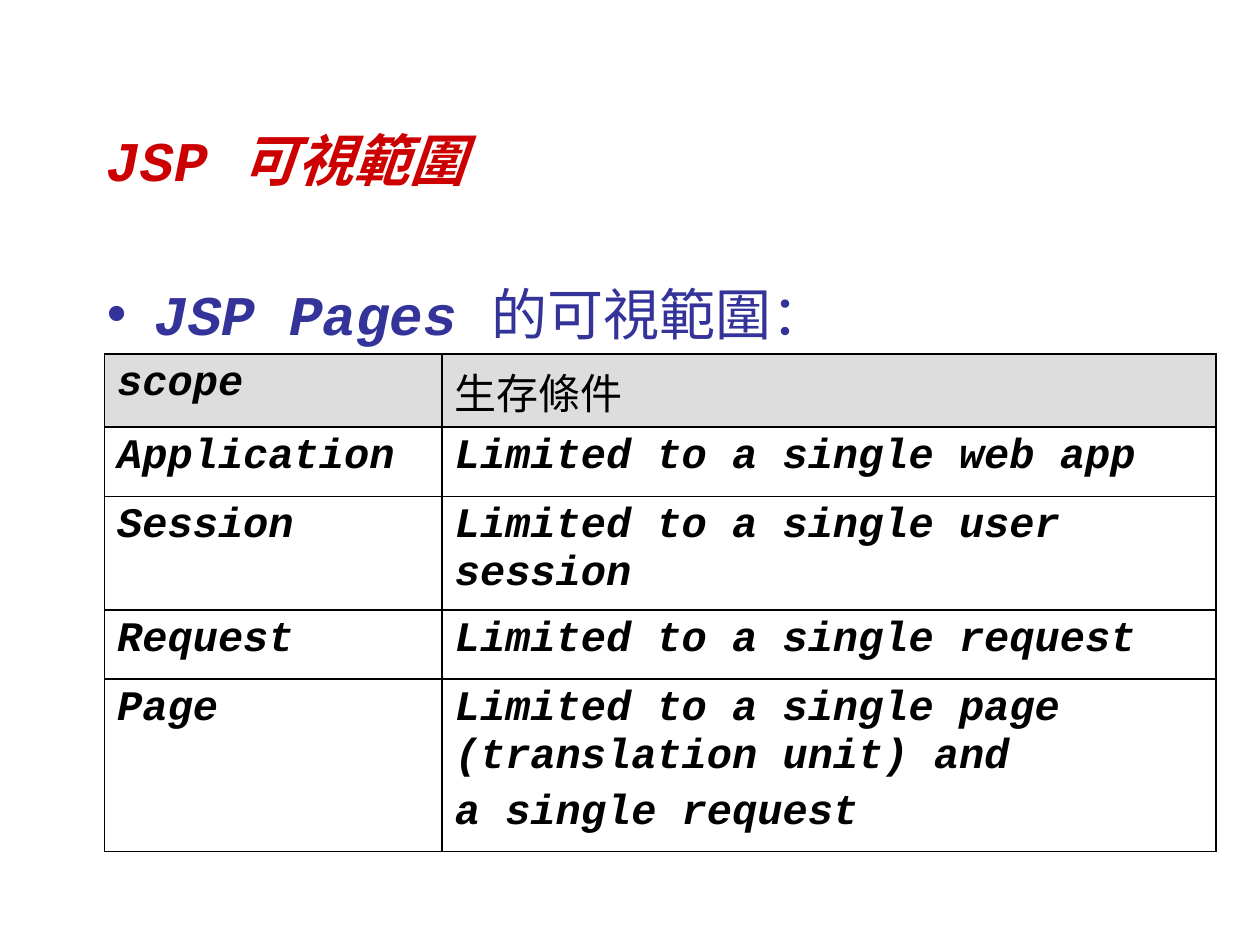
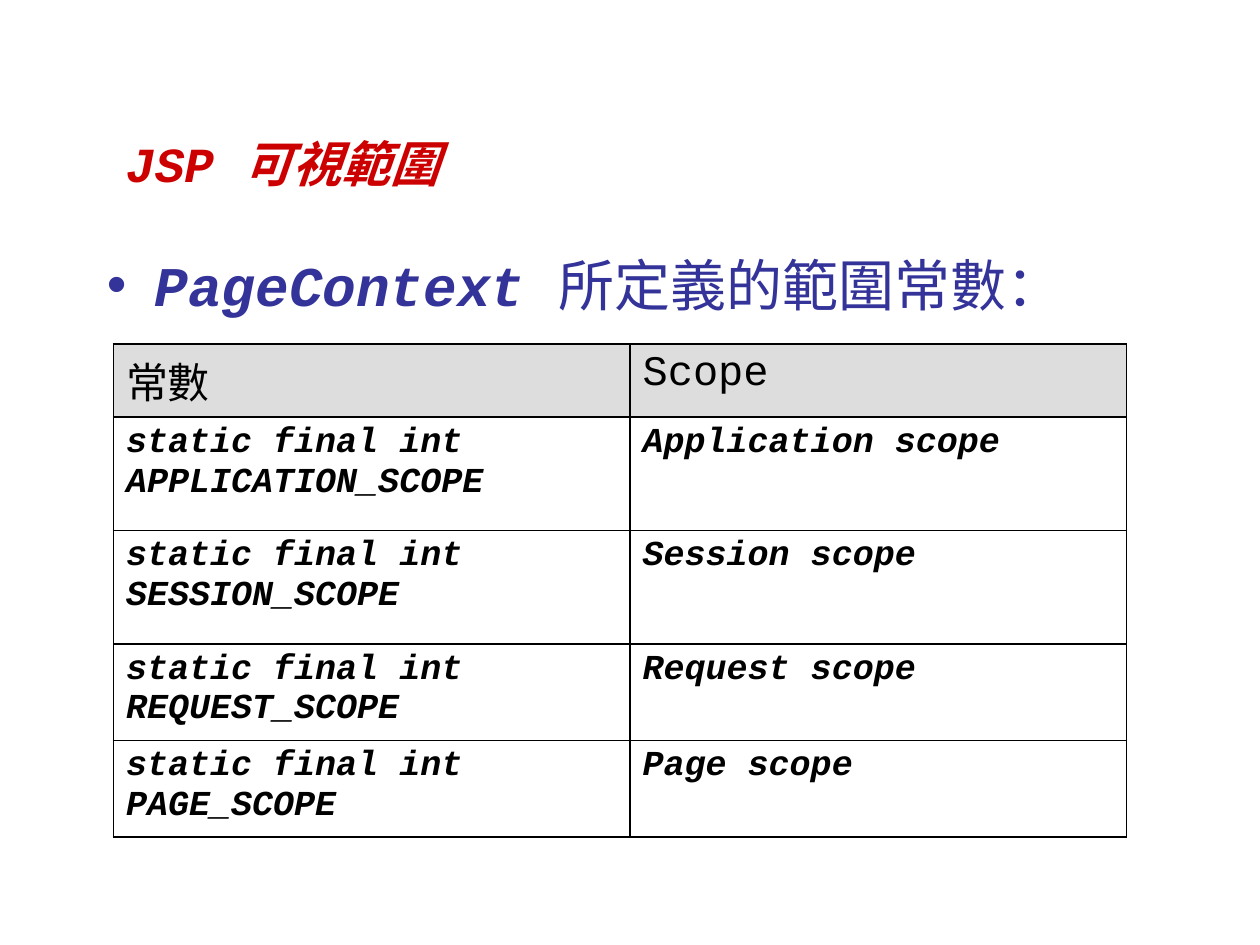
from dataclasses import dataclass

from lxml.etree import SubElement
from pptx import Presentation
from pptx.dml.color import RGBColor
from pptx.enum.text import MSO_ANCHOR as Anchor
from pptx.oxml.ns import qn
from pptx.util import Inches, Pt

# Shared look
RED = RGBColor(0xCC, 0x00, 0x00)
BLUE = RGBColor(0x33, 0x33, 0x99)
BLACK = RGBColor(0x00, 0x00, 0x00)
HEADER_GRAY = RGBColor(0xDD, 0xDD, 0xDD)
FONT_NAME = "Courier New"
STRONG = {"bold": True, "italic": True}
PLAIN = {"bold": False, "italic": False}
TITLE_TEXT = "JSP 可視範圍"
BODY_SIZE = 32
HEADER_SIZE = 24
BULLET_INDENT = Inches(0.38)
BORDER_WIDTH = Pt(1)
BORDER_SIDES = ("a:lnL", "a:lnR", "a:lnT", "a:lnB")

# Slide grid: 100 columns by 75 rows
SLIDE_WIDTH, SLIDE_HEIGHT = Inches(10), Inches(7.5)
COLUMN, ROW = SLIDE_WIDTH / 100, SLIDE_HEIGHT / 75


@dataclass
class Area:
    """A place on the grid, in columns and rows."""
    left: float
    top: float
    width: float
    height: float

    def lengths(self) -> tuple[int, int, int, int]:
        return (int(self.left * COLUMN), int(self.top * ROW),
                int(self.width * COLUMN), int(self.height * ROW))


@dataclass
class ScopeSlide:
    title_area: Area
    title_size: int
    title_spacing: float
    bullet_area: Area
    bullet_term: str
    bullet_rest: str
    table_left: float
    table_top: float
    column_widths: list[float]
    row_heights: list[float]
    header_formats: list[dict]
    cell_size: int
    rows: list[list[str]]


SCOPE_SLIDES = [
    ScopeSlide(
        title_area=Area(7.5, 6.7, 90, 12.5), title_size=32, title_spacing=0.9,
        bullet_area=Area(7.5, 21.7, 85, 6.4),
        bullet_term="JSP Pages ", bullet_rest="的可視範圍：",
        table_left=8.3, table_top=28.1,
        column_widths=[26.8, 61.4], row_heights=[5.8, 5.5, 8.5, 5.5, 13],
        header_formats=[STRONG, PLAIN], cell_size=24,
        rows=[["scope", "生存條件"],
              ["Application", "Limited to a single web app"],
              ["Session", "Limited to a single user session"],
              ["Request", "Limited to a single request"],
              ["Page", "Limited to a single page (translation unit) and\n"
                       "a single request"]]),
    ScopeSlide(
        title_area=Area(9, 6.7, 88.5, 12.5), title_size=28, title_spacing=1.0,
        bullet_area=Area(7.5, 19.4, 85, 6.3),
        bullet_term="PageContext ", bullet_rest="所定義的範圍常數：",
        table_left=9, table_top=27.3,
        column_widths=[41, 39.4], row_heights=[5.8, 9, 9, 7.3, 7.3],
        header_formats=[PLAIN, PLAIN], cell_size=20,
        rows=[["常數", "Scope"]] + [
            [f"static final int {scope.upper()}_SCOPE", f"{scope} scope"]
            for scope in ("Application", "Session", "Request", "Page")]),
]


def add_run(paragraph, text: str, size: int, color: RGBColor, style: dict) -> None:
    run = paragraph.add_run()
    run.text = text
    run.font.color.rgb = color
    for name, value in {"name": FONT_NAME, "size": Pt(size), **style}.items():
        setattr(run.font, name, value)


def add_text_area(slide, area: Area, anchor: Anchor):
    """Add a wrapping text box and return its first paragraph."""
    frame = slide.shapes.add_textbox(*area.lengths()).text_frame
    frame.word_wrap = True
    frame.vertical_anchor = anchor
    return frame.paragraphs[0]


def add_bullet(paragraph) -> None:
    properties = paragraph._p.get_or_add_pPr()
    properties.set("marL", str(BULLET_INDENT))
    properties.set("indent", str(-BULLET_INDENT))
    SubElement(properties, qn("a:buFont"), typeface="Arial")
    SubElement(properties, qn("a:buChar"), char="•")


def add_borders(cell) -> None:
    properties = cell._tc.get_or_add_tcPr()
    for position, side in enumerate(BORDER_SIDES):
        line = SubElement(properties, qn(side), w=str(BORDER_WIDTH))
        fill = SubElement(line, qn("a:solidFill"))
        SubElement(fill, qn("a:srgbClr"), val=str(BLACK))
        properties.insert(position, line)


def fill_cell(cell, text: str, size: int, style: dict, is_header: bool) -> None:
    if is_header:
        cell.fill.solid()
        cell.fill.fore_color.rgb = HEADER_GRAY
    else:
        cell.fill.background()
    add_borders(cell)
    for index, line in enumerate(text.split("\n")):
        frame = cell.text_frame
        paragraph = frame.add_paragraph() if index else frame.paragraphs[0]
        if index:
            paragraph.space_before = Pt(size * 0.2)
        add_run(paragraph, line, size, BLACK, style)


def add_scope_table(slide, content: ScopeSlide) -> None:
    area = Area(content.table_left, content.table_top,
                sum(content.column_widths), sum(content.row_heights))
    table = slide.shapes.add_table(
        len(content.rows), len(content.column_widths), *area.lengths()).table
    table.first_row = table.horz_banding = False
    for column, width in zip(table.columns, content.column_widths):
        column.width = int(width * COLUMN)
    for row, height in zip(table.rows, content.row_heights):
        row.height = int(height * ROW)
    for row_index, texts in enumerate(content.rows):
        is_header = row_index == 0
        size = HEADER_SIZE if is_header else content.cell_size
        for column_index, text in enumerate(texts):
            style = content.header_formats[column_index] if is_header else STRONG
            fill_cell(table.cell(row_index, column_index), text, size, style, is_header)


def add_scope_slide(presentation, content: ScopeSlide) -> None:
    slide = presentation.slides.add_slide(presentation.slide_layouts[6])

    # Title
    title = add_text_area(slide, content.title_area, Anchor.MIDDLE)
    title.line_spacing = content.title_spacing
    add_run(title, TITLE_TEXT, content.title_size, RED, STRONG)

    # Bullet line
    bullet = add_text_area(slide, content.bullet_area, Anchor.TOP)
    add_bullet(bullet)
    add_run(bullet, content.bullet_term, BODY_SIZE, BLUE, STRONG)
    add_run(bullet, content.bullet_rest, BODY_SIZE, BLUE, PLAIN)

    # Table
    add_scope_table(slide, content)


def main() -> None:
    presentation = Presentation()
    presentation.slide_width, presentation.slide_height = SLIDE_WIDTH, SLIDE_HEIGHT
    for content in SCOPE_SLIDES:
        add_scope_slide(presentation, content)
    presentation.save("out.pptx")


if __name__ == "__main__":
    main()
